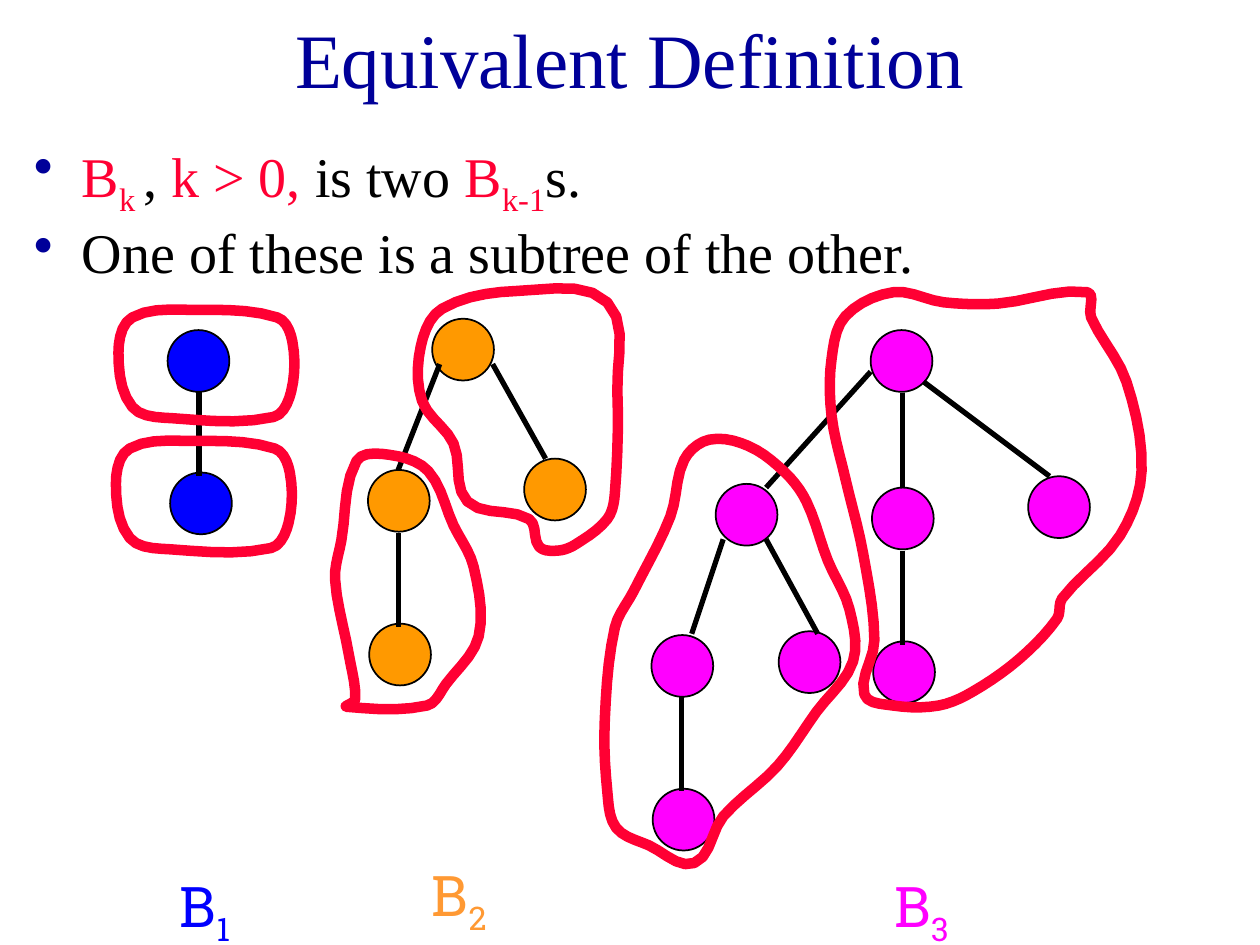
from dataclasses import dataclass
from math import dist

from lxml import etree
from pptx import Presentation
from pptx.dml.color import RGBColor
from pptx.enum.shapes import MSO_CONNECTOR, MSO_SHAPE
from pptx.enum.text import MSO_ANCHOR, PP_ALIGN
from pptx.oxml.ns import qn
from pptx.util import Inches, Pt

STRAIGHT = MSO_CONNECTOR.STRAIGHT
OVAL = MSO_SHAPE.OVAL
MIDDLE = MSO_ANCHOR.MIDDLE
CENTER = PP_ALIGN.CENTER


@dataclass(frozen=True)
class Theme:
    navy: str = "000099"
    red: str = "FF0033"
    black: str = "000000"
    blue: str = "0000FF"
    orange: str = "FF9900"
    light_orange: str = "FF9933"
    magenta: str = "FF00FF"
    serif: str = "Times New Roman"
    slab: str = "Roboto Slab"
    title_size: int = 44
    body_size: int = 32
    outline: float = 1
    edge: float = 3
    marker: float = 6


THEME = Theme()
NODE_SIZE = 0.49
CURVE_STEPS = 5
BULLET_INDENT = 0.38

# Each tree: node corners, edges (x1, y1, x2, y2), node colour, label colour, order, label box
TREES = [
    ([(1.33, 2.62), (1.35, 3.75)],
     [(1.58, 3.11, 1.58, 3.78)],
     THEME.blue, THEME.blue, "1", (1.33, 6.87, 0.83, 0.71)),
    ([(3.43, 2.53), (2.92, 3.73), (4.16, 3.64), (2.93, 4.95)],
     [(3.16, 4.23, 3.16, 4.98), (3.49, 2.89, 3.16, 3.73), (3.91, 2.89, 4.33, 3.64)],
     THEME.orange, THEME.light_orange, "2", (3.33, 6.78, 0.83, 0.71)),
    ([(6.91, 2.62), (6.92, 3.87), (8.16, 3.78), (6.93, 5.09),
      (5.68, 3.84), (5.17, 5.04), (6.18, 5.01), (5.18, 6.26)],
     [(7.16, 4.37, 7.16, 5.12), (7.16, 3.12, 7.16, 3.87), (7.33, 3.03, 8.33, 3.78),
      (5.41, 5.53, 5.41, 6.28), (5.74, 4.28, 5.49, 5.03), (6.08, 4.28, 6.49, 5.03),
      (6.91, 2.95, 6.08, 3.87)],
     THEME.magenta, THEME.magenta, "3", (7, 6.87, 0.92, 0.71)),
]

# Points that each hand-drawn marker loop passes through
UPPER_NODE_LOOP = [(2.2, 2.52), (1.55, 2.46), (1.05, 2.52), (0.94, 2.8), (1.05, 3.23),
                   (1.37, 3.32), (2.17, 3.31), (2.31, 3.11), (2.32, 2.71)]
LOWER_NODE_LOOP = [(x - 0.02, y + 1.04) for x, y in UPPER_NODE_LOOP]
B2_ROOT_LOOP = [(4.82, 2.4), (4.1, 2.31), (3.51, 2.45), (3.34, 2.75), (3.35, 3.18),
                (3.6, 3.52), (3.71, 3.98), (4.2, 4.12), (4.28, 4.34), (4.43, 4.37),
                (4.57, 4.32), (4.82, 4.12), (4.88, 3.92), (4.9, 3.1)]
B2_SUBTREE_LOOP = [(2.75, 5.61), (3.39, 5.6), (3.54, 5.43), (3.8, 5.05), (3.76, 4.5),
                   (3.6, 4.17), (3.4, 3.74), (3.09, 3.61), (2.83, 3.66), (2.71, 4.29),
                   (2.66, 4.6), (2.77, 5.2), (2.82, 5.55)]
B3_ROOT_LOOP = [(8.63, 2.32), (7.92, 2.41), (7.49, 2.4), (7.09, 2.32), (6.71, 2.51),
                (6.6, 2.85), (6.6, 3.3), (6.71, 3.8), (6.85, 4.39), (6.94, 5.08),
                (6.86, 5.51), (7.09, 5.6), (7.45, 5.6), (7.72, 5.49), (8.09, 5.23),
                (8.39, 4.91), (8.43, 4.75), (8.89, 4.25), (9.06, 3.74), (8.94, 3.03),
                (8.66, 2.52)]
B3_SUBTREE_LOOP = [(4.89, 6.57), (5.15, 6.71), (5.51, 6.85), (5.74, 6.48), (6.17, 6.08),
                   (6.48, 5.65), (6.77, 5.25), (6.74, 4.83), (6.57, 4.45), (6.4, 3.98),
                   (6.23, 3.75), (5.94, 3.54), (5.63, 3.49), (5.43, 3.65), (5.32, 4.1),
                   (5.03, 4.69), (4.88, 4.98), (4.8, 5.71), (4.82, 6.28)]
LOOPS = [UPPER_NODE_LOOP, LOWER_NODE_LOOP, B2_ROOT_LOOP, B2_SUBTREE_LOOP,
         B3_ROOT_LOOP, B3_SUBTREE_LOOP]


def set_line(line, color, width):
    line.color.rgb = RGBColor.from_string(color)
    line.width = Pt(width)


def add_text(shapes, box, **frame_format):
    frame = shapes.add_textbox(*map(Inches, box)).text_frame
    for name, value in {"word_wrap": True, **frame_format}.items():
        setattr(frame, name, value)
    return frame


def add_run(paragraph, text, color, size=THEME.body_size, face=THEME.serif, subscript=False):
    run = paragraph.add_run()
    run.text = text
    for name, value in {"size": Pt(size), "name": face}.items():
        setattr(run.font, name, value)
    run.font.color.rgb = RGBColor.from_string(color)
    if subscript:
        run.font._element.set("baseline", "-25000")


def add_bullet(paragraph):
    props = paragraph._p.get_or_add_pPr()
    props.set("marL", str(Inches(BULLET_INDENT)))
    props.set("indent", str(-Inches(BULLET_INDENT)))
    bullet_color = etree.SubElement(props, qn("a:buClr"))
    etree.SubElement(bullet_color, qn("a:srgbClr"), val=THEME.navy)
    etree.SubElement(props, qn("a:buChar"), char="•")


def add_node(shapes, left, top, color):
    node = shapes.add_shape(OVAL, *map(Inches, (left, top, NODE_SIZE, NODE_SIZE)))
    node.shadow.inherit = False
    node.fill.solid()
    node.fill.fore_color.rgb = RGBColor.from_string(color)
    set_line(node.line, THEME.black, THEME.outline)


def add_edge(shapes, ends):
    edge = shapes.add_connector(STRAIGHT, *map(Inches, ends))
    set_line(edge.line, THEME.black, THEME.edge)
    etree.SubElement(edge._element.spPr, qn("a:effectLst"))


def add_tree(slide, nodes, edges, node_color, label_color, order, label_box):
    shapes = slide.shapes.add_group_shape().shapes
    for left, top in nodes:
        add_node(shapes, left, top, node_color)
    for ends in edges:
        add_edge(shapes, ends)
    label = add_text(shapes, label_box).paragraphs[0]
    add_run(label, "B", label_color, face=THEME.slab)
    add_run(label, order, label_color, face=THEME.slab, subscript=True)


def smooth_points(points):
    """Sample a closed smooth curve whose handles are a third of each span."""
    count = len(points)
    for i, start in enumerate(points):
        before, end, after = (points[(i + step) % count] for step in (-1, 1, 2))
        reach = dist(start, end) / 3
        leave, arrive = reach / dist(before, end), reach / dist(start, after)
        for step in range(1, CURVE_STEPS + 1):
            t = step / CURVE_STEPS
            u = 1 - t
            yield tuple(
                Inches(u ** 3 * a + 3 * t * u * u * (a + (b - z) * leave)
                       + 3 * t * t * u * (b - (c - a) * arrive) + t ** 3 * b)
                for z, a, b, c in zip(before, start, end, after))


def add_loop(slide, points):
    builder = slide.shapes.build_freeform(*map(Inches, points[0]))
    builder.add_line_segments(smooth_points(points), close=True)
    loop = builder.convert_to_shape()
    loop.shadow.inherit = False
    loop.fill.background()
    set_line(loop.line, THEME.red, THEME.marker)


def add_definition(slide):
    red, black = THEME.red, THEME.black
    frame = add_text(slide.shapes, (0.17, 1.08, 8.75, 1.25))
    statements = [
        [("B", red), ("k ", red, True), (", ", black), ("k > 0, ", red), ("is two ", black),
         ("B", red), ("k-1", red, True), ("s.", black)],
        [("One of these is a subtree of the other.", black)],
    ]
    for index, runs in enumerate(statements):
        paragraph = frame.add_paragraph() if index else frame.paragraphs[0]
        add_bullet(paragraph)
        paragraph.line_spacing = 0.9
        if index:
            paragraph.space_before = Pt(8)
        for text, color, *subscript in runs:
            add_run(paragraph, text, color, subscript=bool(subscript))


def main():
    deck = Presentation()
    deck.slide_width, deck.slide_height = Inches(10), Inches(7.5)
    slide = deck.slides.add_slide(deck.slide_layouts[6])
    title = add_text(slide.shapes, (0.75, 0, 8.5, 0.92), vertical_anchor=MIDDLE).paragraphs[0]
    title.alignment = CENTER
    add_run(title, "Equivalent Definition", THEME.navy, THEME.title_size)
    add_definition(slide)
    for tree in TREES:
        add_tree(slide, *tree)
    for loop in LOOPS:
        add_loop(slide, loop)
    deck.save("out.pptx")


if __name__ == "__main__":
    main()
